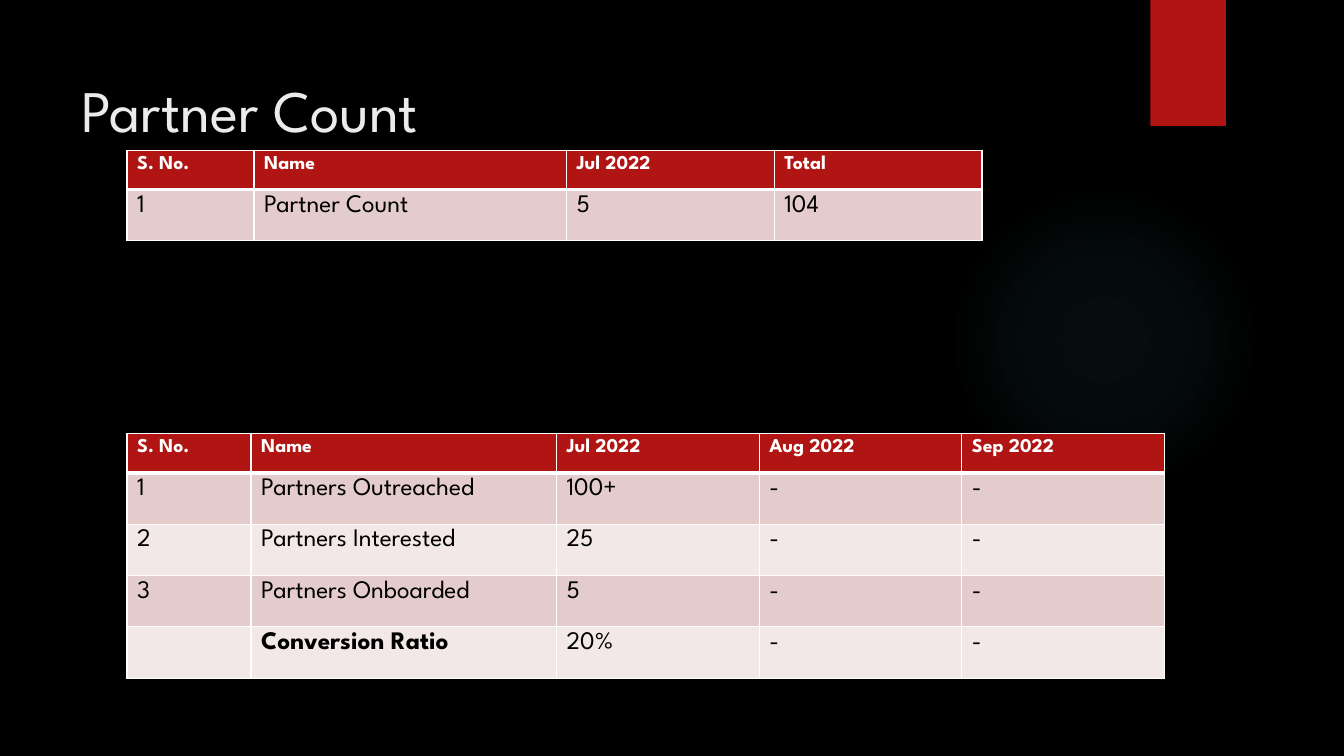
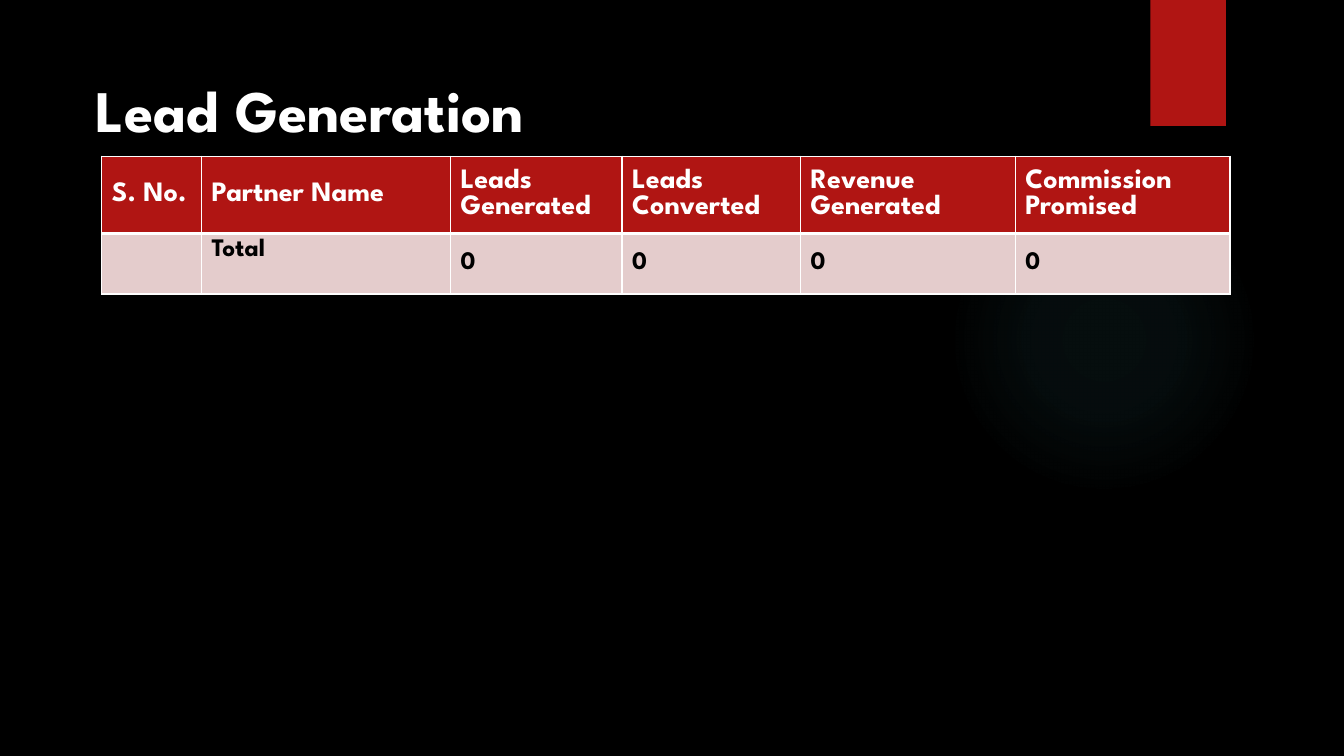
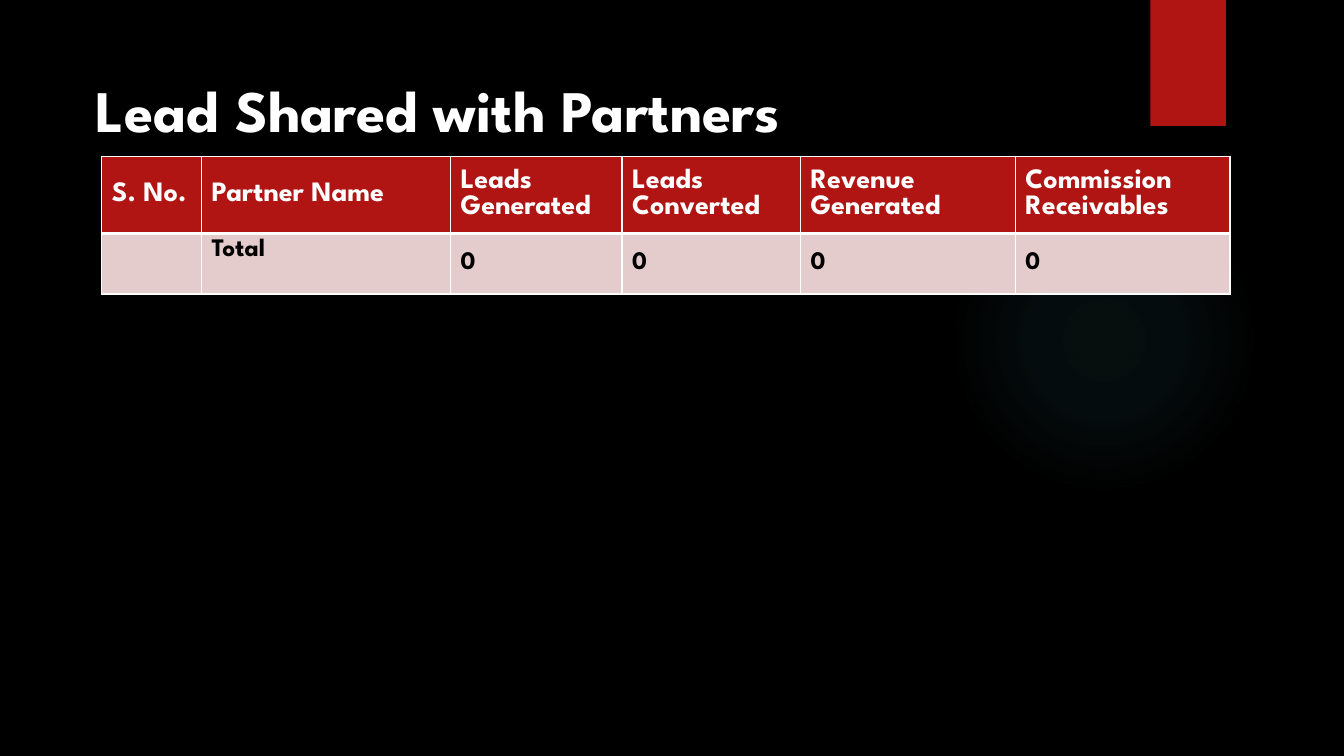
from lxml.etree import SubElement as Sub
from pptx import Presentation
from pptx.dml.color import RGBColor as RGB
from pptx.enum.shapes import MSO_SHAPE as SHAPE
from pptx.enum.text import MSO_ANCHOR as ANCHOR
from pptx.oxml.ns import qn
from pptx.util import Inches, Pt

HUES = {"back": "000000", "red": "B01513", "glow": "50B9C1", "white": "FFFFFF",
        "pale": "EBEBEB", "rose": "E4CCCC", "blush": "F2E8E7", "ink": "000000"}
FACE = "League Spartan"

# Slide content: titles, then tables with place, column widths, row heights
COUNT = {"at": (1.26, 1.49), "cols": [1.26, 3.1, 2.06, 2.06], "rows": (0.39, 0.51),
         "size": 14, "mid": False, "bold": [],
         "data": [["S. No.", "Name", "Jul 2022", "Total"],
                  ["1", "Partner Count", "5", "104"]]}
RATIO = {"at": (1.26, 4.3), "cols": [1.23, 3.03, 2.01, 2.01, 2.01], "rows": (0.39, 0.51),
         "size": 14, "mid": False, "bold": ["Conversion Ratio"],
         "data": [["S. No.", "Name", "Jul 2022", "Aug 2022", "Sep 2022"],
                  ["1", "Partners Outreached", "100+", "-", "-"],
                  ["2", "Partners Interested", "25", "-", "-"],
                  ["3", "Partners Onboarded", "5", "-", "-"],
                  ["", "Conversion Ratio", "20%", "-", "-"]]}
LEADS = {"at": (1.01, 1.55), "cols": [0.99, 2.47, 1.7, 1.77, 2.13, 2.13],
         "rows": (0.74, 0.6), "size": 20, "mid": True, "bold": ["Total", "0"]}
HEAD = ["S. No.", "Partner Name", "Leads Generated", "Leads Converted",
        "Revenue Generated"]
SUM = ["", "Total", "0", "0", "0", "0"]
SLIDES = [
    {"title": "Partner Count", "hue": "pale", "bold": False, "pad": 0.1,
     "tables": [COUNT, RATIO]},
    {"title": "Lead Generation", "hue": "white", "bold": True, "pad": 0.24,
     "tables": [{**LEADS, "data": [HEAD + ["Commission Promised"], SUM]}]},
    {"title": "Lead Shared with Partners", "hue": "white", "bold": True, "pad": 0.24,
     "tables": [{**LEADS, "data": [HEAD + ["Commission Receivables"], SUM]}]},
]


def write(para, text, size, hue, bold):
    """Put text in a paragraph with the deck's font."""
    para.text = text
    for key, val in {"name": FACE, "size": Pt(size), "bold": bold}.items():
        setattr(para.font, key, val)
        for run in para.runs:
            setattr(run.font, key, val)
    for run in para.runs:
        run.font.color.rgb = RGB.from_string(HUES[hue])


def edge(cell, low):
    """Draw white cell borders; low is the bottom width in points."""
    props = cell._tc.get_or_add_tcPr()
    for side, wide in {"L": 1, "R": 1, "T": 1, "B": low}.items():
        line = Sub(props, qn("a:ln" + side), w=str(Pt(wide)))
        Sub(Sub(line, qn("a:solidFill")), qn("a:srgbClr"), val=HUES["white"])


deck = Presentation()
deck.slide_width, deck.slide_height = Inches(13.33), Inches(7.5)
fill = deck.slide_master.background.fill
fill.solid()
fill.fore_color.rgb = RGB.from_string(HUES["back"])

for page in SLIDES:
    slide = deck.slides.add_slide(deck.slide_layouts[6])

    # Soft round glow and red tab
    glow, tab = [slide.shapes.add_shape(kind, *map(Inches, box)) for kind, box in (
        (SHAPE.OVAL, (9.41, 1.83, 3.08, 3.08)),
        (SHAPE.RECTANGLE, (11.41, 0, 0.75, 1.25)))]
    for shape in (glow, tab):
        shape.shadow.inherit = False
        shape.line.fill.background()
    tab.fill.solid()
    tab.fill.fore_color.rgb = RGB.from_string(HUES["red"])
    glow.fill.gradient()
    grad = glow._element.spPr.find(qn("a:gradFill"))
    for part in list(grad):
        grad.remove(part)
    stops = Sub(grad, qn("a:gsLst"))
    for pos, alpha in ((0, 7), (36, 6), (69, 0)):
        stop = Sub(stops, qn("a:gs"), pos=str(pos * 1000))
        tint = Sub(stop, qn("a:srgbClr"), val=HUES["glow"])
        Sub(tint, qn("a:alpha"), val=str(alpha * 1000))
    ring = Sub(grad, qn("a:path"), path="circle")
    Sub(ring, qn("a:fillToRect"), **{side: "50000" for side in "ltrb"})

    # Title
    frame = slide.shapes.add_textbox(*map(Inches, (0.71, 0.5, 10.29, 1.53))).text_frame
    for key, val in {"word_wrap": True, "vertical_anchor": ANCHOR.TOP,
                     "margin_left": Inches(page["pad"]),
                     "margin_top": Inches(0.23)}.items():
        setattr(frame, key, val)
    write(frame.paragraphs[0], page["title"], 42, page["hue"], page["bold"])

    # Tables
    for spec in page["tables"]:
        data, cols = spec["data"], spec["cols"]
        first, rest = spec["rows"]
        highs = [first] + [rest] * (len(data) - 1)
        box = (*spec["at"], sum(cols), sum(highs))
        table = slide.shapes.add_table(len(data), len(cols), *map(Inches, box)).table
        for col, wide in zip(table.columns, cols):
            col.width = Inches(wide)
        for r, (row, high) in enumerate(zip(data, highs)):
            table.rows[r].height = Inches(high)
            top = r == 0
            band = "red" if top else ("blush", "rose")[r % 2]
            for c, text in enumerate(row):
                cell = table.cell(r, c)
                edge(cell, 3 if top else 1)
                cell.fill.solid()
                cell.fill.fore_color.rgb = RGB.from_string(HUES[band])
                if spec["mid"] and text != "Total":
                    cell.vertical_anchor = ANCHOR.MIDDLE
                write(cell.text_frame.paragraphs[0], text, spec["size"] if top else 18,
                      "white" if top else "ink", top or text in spec["bold"])

deck.save("out.pptx")
